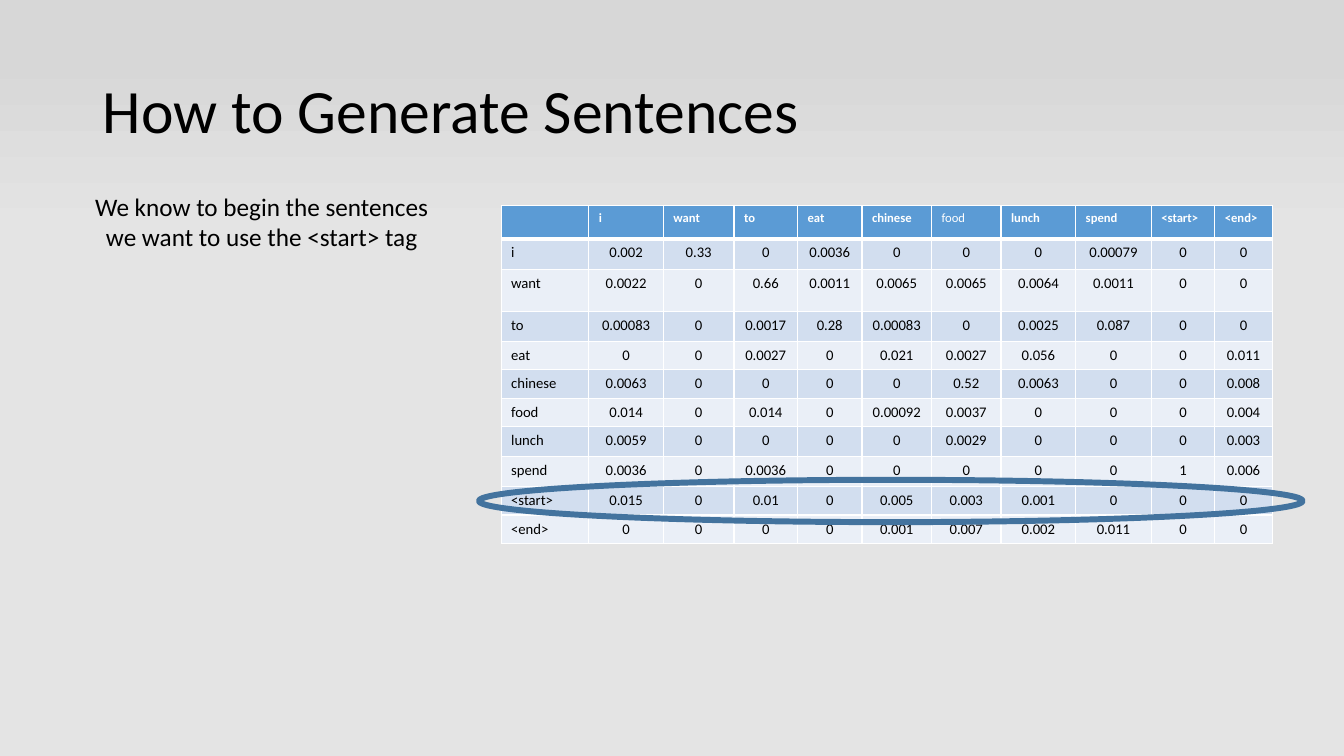
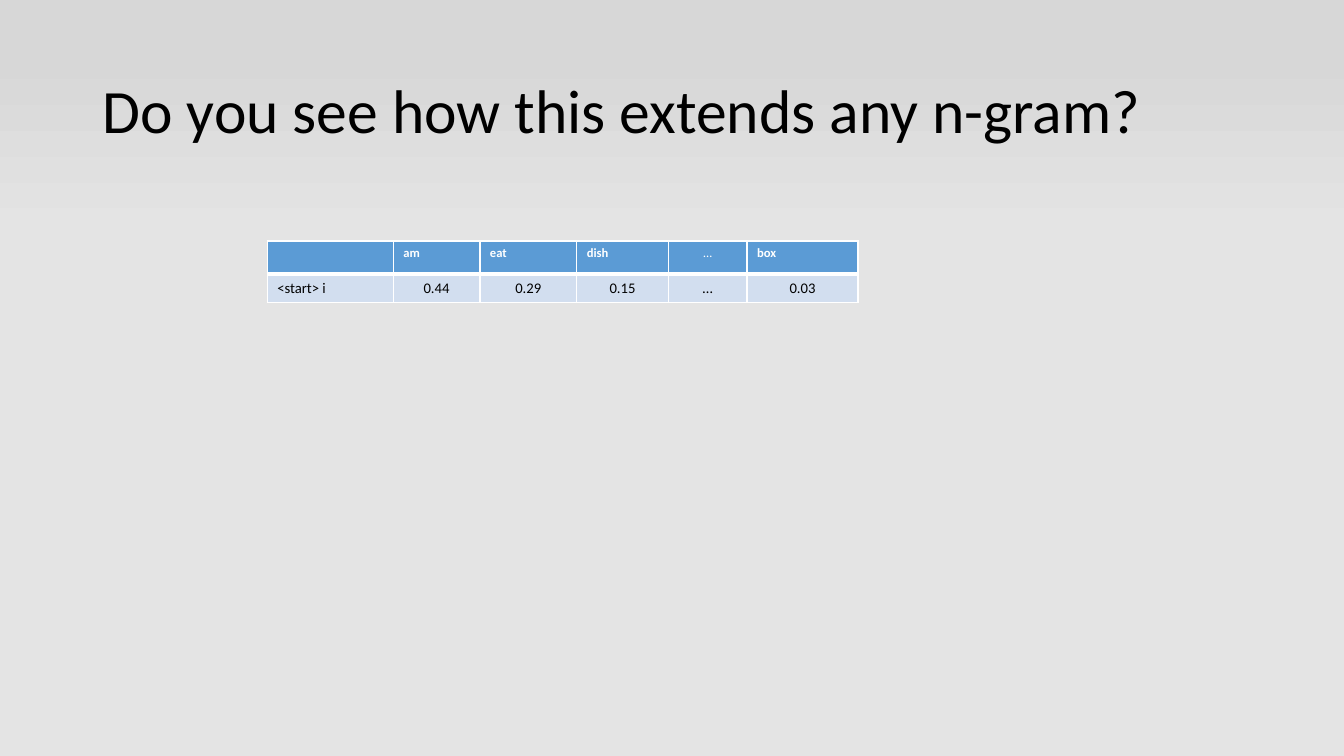
from lxml import etree
from pptx import Presentation
from pptx import util as u
from pptx.dml.color import RGBColor
from pptx.enum import shapes, text
from pptx.oxml.ns import qn

FONT = "Calibri"
BLACK = RGBColor(0x00, 0x00, 0x00)
WHITE = RGBColor(0xFF, 0xFF, 0xFF)
HEADER = RGBColor(0x5B, 0x9B, 0xD5)
BANDS = (RGBColor(0xD2, 0xDE, 0xEF), RGBColor(0xEA, 0xEF, 0xF7))
RING = RGBColor(0x43, 0x73, 0x9E)
BACKGROUND = [(0, "D7D7D7"), (7, "D7D7D7"), (31, "E4E4E4")]
TITLE_BOX = (0.92, 0.4, 11.5, 1.45)

NOTE = ["We know to begin the sentences", "we want to use the <start> tag"]
BIGRAMS = dict(
    left=4.97, top=2.04, light="food",
    cols=[0.87, 0.74, 0.7, 0.63, 0.64, 0.69, 0.69, 0.74, 0.75, 0.63, 0.57],
    rows=[0.33, 0.3, 0.42, 0.3, 0.28, 0.28, 0.28, 0.3, 0.3, 0.28, 0.28],
    cells=[
        ["", "i", "want", "to", "eat", "chinese", "food", "lunch", "spend", "<start>", "<end>"],
        ["i", "0.002", "0.33", "0", "0.0036", "0", "0", "0", "0.00079", "0", "0"],
        ["want", "0.0022", "0", "0.66", "0.0011", "0.0065", "0.0065", "0.0064", "0.0011", "0", "0"],
        ["to", "0.00083", "0", "0.0017", "0.28", "0.00083", "0", "0.0025", "0.087", "0", "0"],
        ["eat", "0", "0", "0.0027", "0", "0.021", "0.0027", "0.056", "0", "0", "0.011"],
        ["chinese", "0.0063", "0", "0", "0", "0", "0.52", "0.0063", "0", "0", "0.008"],
        ["food", "0.014", "0", "0.014", "0", "0.00092", "0.0037", "0", "0", "0", "0.004"],
        ["lunch", "0.0059", "0", "0", "0", "0", "0.0029", "0", "0", "0", "0.003"],
        ["spend", "0.0036", "0", "0.0036", "0", "0", "0", "0", "0", "1", "0.006"],
        ["<start>", "0.015", "0", "0.01", "0", "0.005", "0.003", "0.001", "0", "0", "0"],
        ["<end>", "0", "0", "0", "0", "0.001", "0.007", "0.002", "0.011", "0", "0"],
    ])
RING_ROW = 9
RING_LEFT, RING_RIGHT = 0.22, 0.3  # overhang beyond the table
TRIGRAMS = dict(
    left=2.65, top=2.39, light="…",
    cols=[1.25, 0.86, 0.96, 0.91, 0.78, 1.1], rows=[0.33, 0.28],
    cells=[["", "am", "eat", "dish", "…", "box"],
           ["<start> i", "0.44", "0.29", "0.15", "…", "0.03"]])


def inches(*values):
    return [u.Inches(v) for v in values]


def style(p, size, color=BLACK, bold=False):
    for r in p.runs:
        r.font.name, r.font.size, r.font.bold = FONT, u.Pt(size), bold
        r.font.color.rgb = color


def set_background(master):
    fill = master.background.fill
    fill.gradient()
    fill.gradient_angle = 270
    stops = master.element.find(".//" + qn("a:gsLst"))
    for old in list(stops):
        stops.remove(old)
    for pos, color in BACKGROUND:
        gs = etree.SubElement(stops, qn("a:gs"), pos=str(pos * 1000))
        etree.SubElement(gs, qn("a:srgbClr"), val=color)


def add_slide(prs, title):
    s = prs.slides.add_slide(prs.slide_layouts[6])
    tf = s.shapes.add_textbox(*inches(*TITLE_BOX)).text_frame
    tf.word_wrap = True
    tf.vertical_anchor = text.MSO_ANCHOR.MIDDLE
    p = tf.paragraphs[0]
    p.text, p.line_spacing = title, 0.9
    style(p, 44)
    return s


def set_borders(cell, top, bottom):
    tc_pr = cell._tc.get_or_add_tcPr()
    for side, width in zip("LRTB", (1, 1, top, bottom)):
        ln = etree.SubElement(tc_pr, qn("a:ln" + side), w=str(u.Pt(width)))
        fill = etree.SubElement(ln, qn("a:solidFill"))
        etree.SubElement(fill, qn("a:srgbClr"), val=str(WHITE))


def add_grid(s, left, top, light, cols, rows, cells):
    """Probability table; the header label named by light is not bold."""
    table = s.shapes.add_table(len(rows), len(cols),
                               *inches(left, top, sum(cols), sum(rows))).table
    for col, width in zip(table.columns, cols):
        col.width = u.Inches(width)
    for i, (height, labels) in enumerate(zip(rows, cells)):
        table.rows[i].height = u.Inches(height)
        for j, label in enumerate(labels):
            cell = table.cell(i, j)
            set_borders(cell, 3 if i == 1 else 1, 3 if i == 0 else 1)
            cell.fill.solid()
            cell.fill.fore_color.rgb = BANDS[(i - 1) % 2] if i else HEADER
            p = cell.text_frame.paragraphs[0]
            if not label:  # keeps the empty cell from stretching its row
                etree.SubElement(p._p, qn("a:endParaRPr"), sz="900")
                continue
            p.text = label
            if label == "…" or (i and j):
                p.alignment = text.PP_ALIGN.CENTER
            if i:
                style(p, 10.5)
            else:
                style(p, 9, WHITE, label != light)


def add_note(s):
    tf = s.shapes.add_textbox(*inches(0.82, 1.85, 3.55, 0.71)).text_frame
    tf.word_wrap = False
    tf.text = "\n".join(NOTE)
    for p in tf.paragraphs:
        p.alignment = text.PP_ALIGN.CENTER
        style(p, 18)


def add_ring(s, left, top, cols, rows):
    row = rows[RING_ROW]
    height = 1.5 * row
    y = top + sum(rows[:RING_ROW]) + (row - height) / 2
    sp = s.shapes.add_shape(
        shapes.MSO_SHAPE.OVAL,
        *inches(left - RING_LEFT, y, sum(cols) + RING_LEFT + RING_RIGHT, height))
    sp.shadow.inherit = False
    sp.fill.background()
    sp.line.color.rgb, sp.line.width = RING, u.Pt(4.25)


def main():
    prs = Presentation()
    prs.slide_width, prs.slide_height = inches(13.33, 7.5)
    set_background(prs.slide_master)

    s = add_slide(prs, "How to Generate Sentences")
    add_note(s)
    add_grid(s, **BIGRAMS)
    add_ring(s, *(BIGRAMS[k] for k in ("left", "top", "cols", "rows")))

    s = add_slide(prs, "Do you see how this extends any n-gram?")
    add_grid(s, **TRIGRAMS)
    prs.save("out.pptx")


if __name__ == "__main__":
    main()
